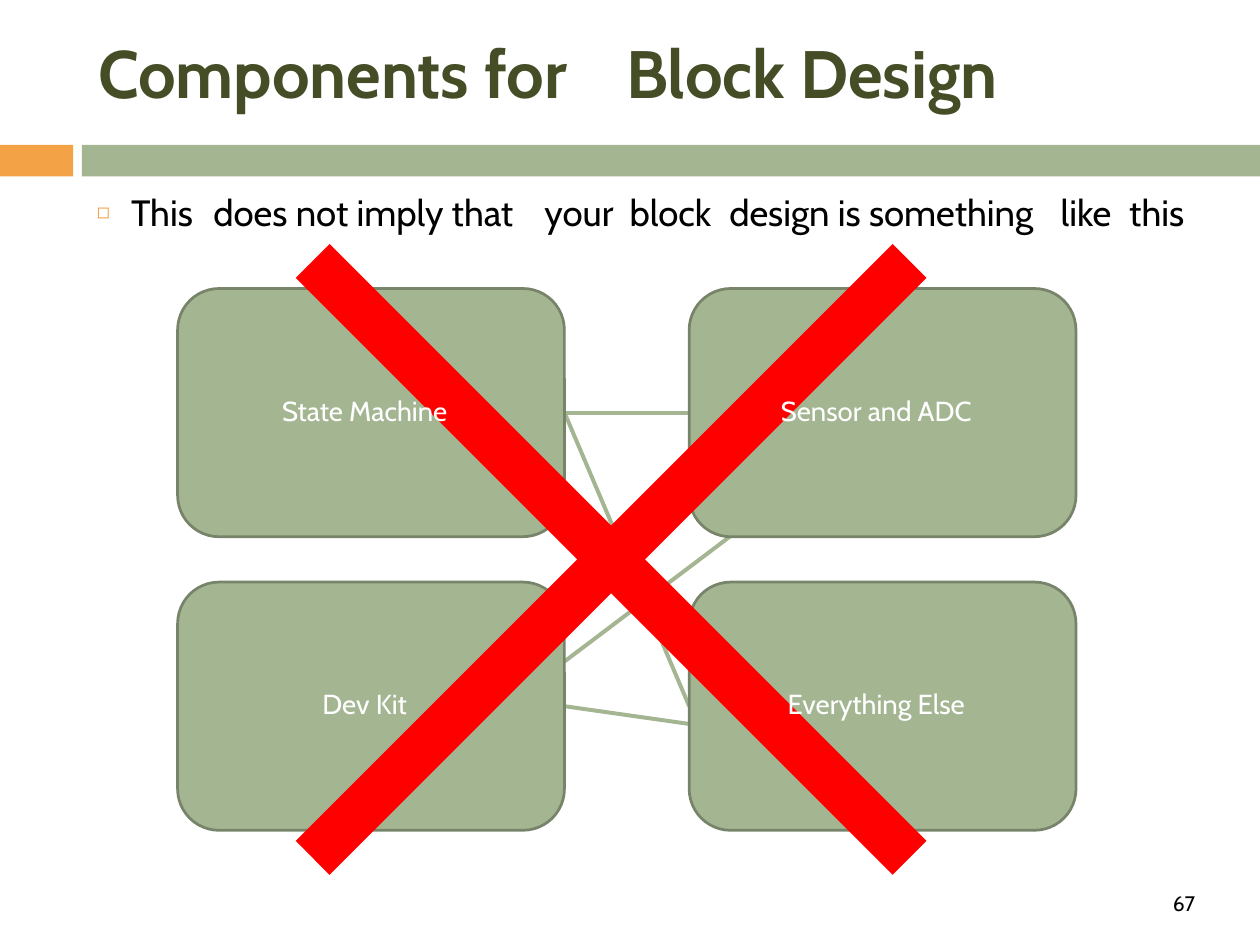
from typing import NamedTuple

from lxml import etree
from pptx import Presentation
from pptx import util as u
from pptx.dml.color import RGBColor
from pptx.enum import shapes, text
from pptx.oxml.ns import qn

WIDTH, HEIGHT = 10, 7.5
COLORS = {
    "title": "444D25", "sage": "A4B592", "edge": "78846A", "orange": "F3A346",
    "red": "FF0000", "black": "000000", "white": "FFFFFF",
}
FONT = "Cabin"

# Grid of the four blocks
LEFT, TOP, COL_PITCH, ROW_PITCH = 1.41, 2.29, 4.06, 2.33
BLOCK_W, BLOCK_H = 3.07, 1.97
LABEL_SHIFT_X, LABEL_SHIFT_Y = -0.05, -0.02


class Block(NamedTuple):
    label: str
    col: int
    row: int

    @property
    def box(self) -> tuple:
        return (LEFT + self.col * COL_PITCH, TOP + self.row * ROW_PITCH,
                BLOCK_W, BLOCK_H)


class Link(NamedTuple):
    start: str
    end: str = ""             # block whose left side the link joins
    start_at: tuple = ()      # free points, where no side middle is met
    end_at: tuple = (0, 0)


class Phrase(NamedTuple):
    words: str
    gap: float = 0            # extra width of the space that follows, points


BLOCKS = [
    Block("State Machine", 0, 0), Block("Sensor and ADC", 1, 0),
    Block("Everything Else", 1, 1), Block("Dev Kit", 0, 1),
]
LINKS = [
    Link("State Machine", "Everything Else"),
    Link("Dev Kit", end_at=(5.64, 5.77)),
    Link("", start_at=(4.48, 5.25), end_at=(5.95, 4.14)),
    Link("State Machine", "Sensor and ADC"),
]
TITLE = [Phrase("Components for", 25), Phrase("Block Design")]
STATEMENT = [
    Phrase("This", 7), Phrase("does not imply that", 13), Phrase("your", 4.5),
    Phrase("block", 5.5), Phrase("design is something", 10.8),
    Phrase("like", 5.5), Phrase("this"),
]


def inches(values: tuple) -> list:
    return [u.Inches(v) for v in values]


def rgb(name: str) -> RGBColor:
    return RGBColor.from_string(COLORS[name])


def add_block(slide, kind, box: tuple, fill: str, edge: str = ""):
    shape = slide.shapes.add_shape(kind, *inches(box))
    shape.shadow.inherit = False
    shape.fill.solid()
    shape.fill.fore_color.rgb = rgb(fill)
    if edge:
        shape.line.color.rgb = rgb(edge)
        shape.line.width = u.Pt(1.56)
    else:
        shape.line.fill.background()
    return shape


def add_link(slide, link: Link):
    start = link.start_at or link.end_at
    line = slide.shapes.add_connector(
        shapes.MSO_CONNECTOR.STRAIGHT, *inches(start + link.end_at))
    line.line.color.rgb = rgb("sage")
    line.line.width = u.Pt(2.28)
    etree.SubElement(line._element.spPr, qn("a:effectLst"))
    return line


def add_bullet(paragraph, indent: float) -> None:
    props = paragraph._p.get_or_add_pPr()
    props.set("marL", str(u.Inches(indent)))
    props.set("indent", str(u.Inches(-indent)))
    color = etree.SubElement(props, qn("a:buClr"))
    etree.SubElement(color, qn("a:srgbClr"), val=COLORS["orange"])
    etree.SubElement(props, qn("a:buSzPct"), val="58000")
    etree.SubElement(props, qn("a:buFont"), typeface="Arial")
    etree.SubElement(props, qn("a:buChar"), char="◻")


def add_text(slide, box: tuple, phrases: list, size: float, color: str,
             bold: bool = False, bullet: float = 0, centred: bool = False) -> None:
    frame = slide.shapes.add_textbox(*inches(box)).text_frame
    layout = {"margin_left": 0, "margin_right": 0, "margin_top": 0,
              "margin_bottom": 0, "word_wrap": True}
    if centred:
        layout["vertical_anchor"] = text.MSO_ANCHOR.MIDDLE
    for name, value in layout.items():
        setattr(frame, name, value)
    paragraph = frame.paragraphs[0]
    if centred:
        paragraph.alignment = text.PP_ALIGN.CENTER
    if bullet:
        add_bullet(paragraph, bullet)
    for phrase in phrases:
        pieces = [(phrase.words, 0)]
        if phrase.gap:
            pieces.append((" ", phrase.gap))
        for words, spacing in pieces:
            run = paragraph.add_run()
            run.text = words
            for name, value in {"name": FONT, "size": u.Pt(size), "bold": bold}.items():
                setattr(run.font, name, value)
            run.font.color.rgb = rgb(color)
            if spacing:
                run._r.get_or_add_rPr().set("spc", str(round(spacing * 100)))


def main() -> None:
    deck = Presentation()
    deck.slide_width, deck.slide_height = inches((WIDTH, HEIGHT))
    slide = deck.slides.add_slide(deck.slide_layouts[6])

    # Band under the title
    rectangle = shapes.MSO_SHAPE.RECTANGLE
    add_block(slide, rectangle, (0, 1.15, 0.58, 0.25), "orange")
    add_block(slide, rectangle, (0.65, 1.15, WIDTH - 0.65, 0.25), "sage")

    # Links lie behind the blocks and are joined once the blocks exist
    lines = [add_link(slide, link) for link in LINKS]
    placed = {
        block.label: add_block(slide, shapes.MSO_SHAPE.ROUNDED_RECTANGLE,
                               block.box, "sage", "edge")
        for block in BLOCKS
    }
    for link, line in zip(LINKS, lines):
        if link.start:
            line.begin_connect(placed[link.start], 3)
        if link.end:
            line.end_connect(placed[link.end], 1)

    # Red cross over the diagram
    span, bar = 6.7, 0.38
    cross = add_block(slide, shapes.MSO_SHAPE.CROSS,
                      (4.85 - span / 2, 4.44 - span / 2, span, span), "red")
    cross.adjustments[0] = (span - bar) / 2 / span
    cross.rotation = 45

    # Title, statement, block labels and page number
    add_text(slide, (0.78, 0.25, 8.5, 0.65), TITLE, 38.3, "title", bold=True)
    add_text(slide, (0.77, 1.51, 9.1, 0.36), STATEMENT, 20.9, "black", bullet=0.27)
    for block in BLOCKS:
        left, top, *size = block.box
        add_text(slide, (left + LABEL_SHIFT_X, top + LABEL_SHIFT_Y, *size),
                 [Phrase(block.label)], 15.7, "white", centred=True)
    add_text(slide, (9.31, 7.07, 0.3, 0.2), [Phrase("67")], 12, "black")

    deck.save("out.pptx")


if __name__ == "__main__":
    main()
